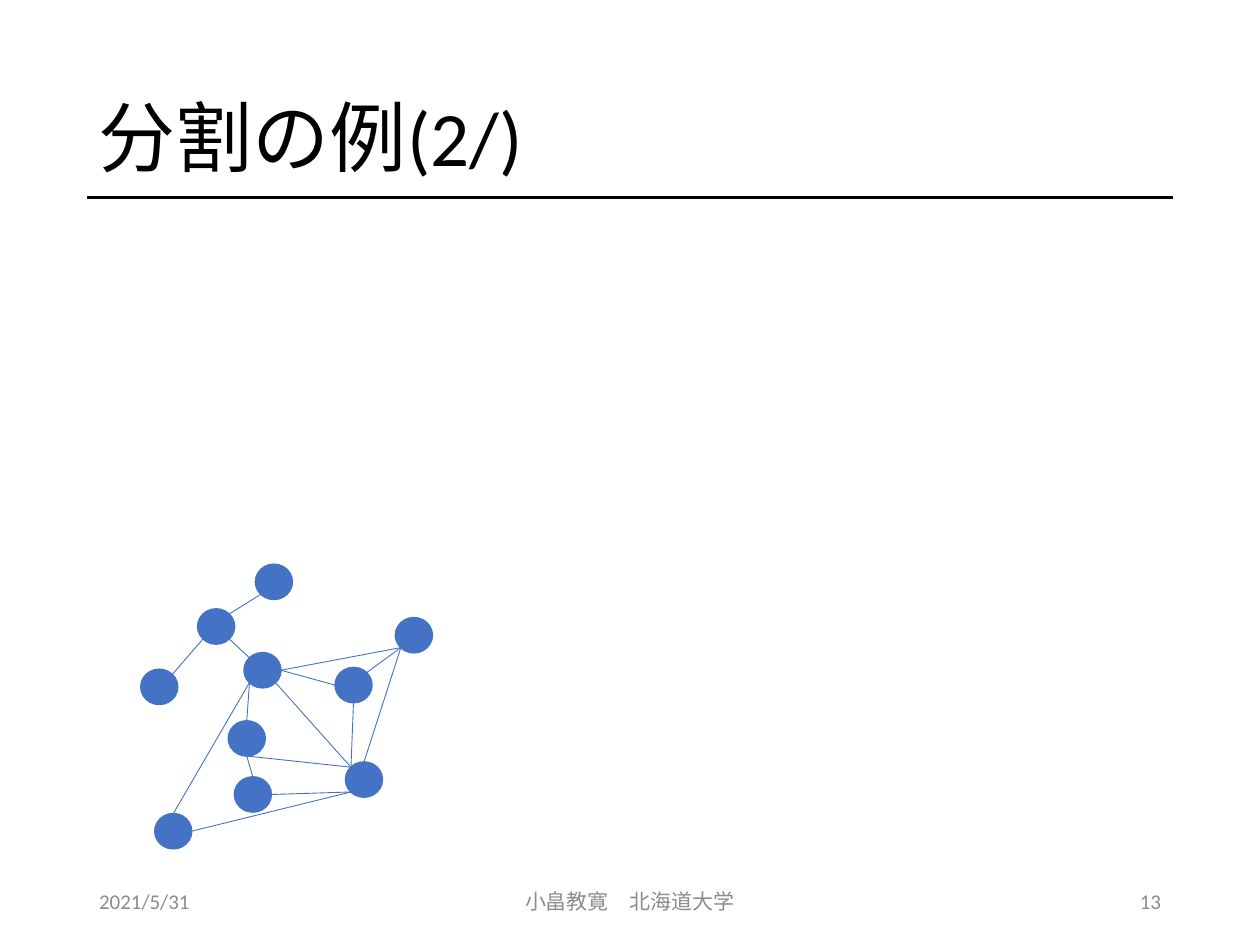
from dataclasses import dataclass
from math import cos, radians, sin

from lxml import etree
from pptx import Presentation
from pptx.dml.color import RGBColor
from pptx.enum.shapes import MSO_CONNECTOR, MSO_SHAPE
from pptx.enum.text import MSO_ANCHOR, PP_ALIGN
from pptx.oxml.ns import qn
from pptx.util import Pt

STRAIGHT = MSO_CONNECTOR.STRAIGHT
OVAL = MSO_SHAPE.OVAL
MIDDLE = MSO_ANCHOR.MIDDLE
LEFT, CENTER, RIGHT = PP_ALIGN.LEFT, PP_ALIGN.CENTER, PP_ALIGN.RIGHT


@dataclass(frozen=True)
class Theme:
    font: str = "Calibri"
    ink: RGBColor = RGBColor(0, 0, 0)
    muted: RGBColor = RGBColor(0x8C, 0x8C, 0x8C)
    accent: RGBColor = RGBColor(0x44, 0x72, 0xC4)
    title_size: int = 44
    footer_size: int = 12


THEME = Theme()
MARGIN, CONTENT_WIDTH = 49.5, 621
NODE_WIDTH, NODE_HEIGHT = 21, 20

# Left and top of each graph node, in points
NODES = {
    "branch": (113, 348),
    "upper leaf": (146, 322.5),
    "left leaf": (80.5, 382.5),
    "hub": (139.5, 373),
    "lower right": (197.5, 435.5),
    "inner right": (191.5, 381.5),
    "far right": (226, 353),
    "inner upper": (130.5, 412),
    "inner lower": (134, 444),
    "lower left": (88.5, 465),
}

# Direction of each rim point, clockwise from the right
RIM = {name: 45 * step for step, name in enumerate(
    ("E", "SE", "S", "SW", "W", "NW", "N", "NE"))}

# Start node and rim point, end node and rim point
EDGES = [
    ("branch", "NE", "upper leaf", "SW"),
    ("branch", "SW", "left leaf", "NE"),
    ("branch", "SE", "hub", "NW"),
    ("lower right", "NW", "hub", "SE"),
    ("lower right", "N", "far right", "SW"),
    ("lower right", "NW", "inner right", "S"),
    ("inner right", "NE", "far right", "SW"),
    ("inner right", "W", "hub", "E"),
    ("far right", "SW", "hub", "E"),
    ("inner upper", "N", "hub", "SW"),
    ("lower left", "N", "hub", "SW"),
    ("inner lower", "N", "inner upper", "S"),
    ("lower right", "NW", "inner upper", "S"),
    ("lower right", "SW", "inner lower", "E"),
    ("lower left", "E", "lower right", "SW"),
]


def apply_format(target, values):
    for attribute, value in values.items():
        setattr(target, attribute, value)


def add_label(shapes, text, box, size, color, align=LEFT, spacing=1.0):
    label = shapes.add_textbox(*map(Pt, box))
    frame = label.text_frame
    apply_format(frame, {"word_wrap": True, "vertical_anchor": MIDDLE})
    paragraph = frame.paragraphs[0]
    paragraph.text = text
    apply_format(paragraph, {"alignment": align, "line_spacing": spacing})
    apply_format(paragraph.font, {"name": THEME.font, "size": Pt(size)})
    paragraph.font.color.rgb = color


def add_line(shapes, start, end, color, width):
    line = shapes.add_connector(STRAIGHT, *map(Pt, (*start, *end)))
    line.line.color.rgb = color
    line.line.width = Pt(width)
    etree.SubElement(line._element.spPr, qn("a:effectLst"))


def add_node(shapes, left, top):
    node = shapes.add_shape(OVAL, *map(Pt, (left, top, NODE_WIDTH, NODE_HEIGHT)))
    node.shadow.inherit = False
    node.fill.solid()
    node.fill.fore_color.rgb = THEME.accent
    node.line.color.rgb = THEME.accent
    node.line.width = Pt(1)


def rim_point(name, side):
    left, top = NODES[name]
    angle = radians(RIM[side])
    return (left + NODE_WIDTH / 2 * (1 + cos(angle)),
            top + NODE_HEIGHT / 2 * (1 + sin(angle)))


def add_graph(slide):
    graph = slide.shapes.add_group_shape().shapes
    for left, top in NODES.values():
        add_node(graph, left, top)
    for start, start_side, end, end_side in EDGES:
        add_line(graph, rim_point(start, start_side), rim_point(end, end_side),
                 THEME.accent, 0.5)


def main():
    deck = Presentation()
    apply_format(deck, {"slide_width": Pt(720), "slide_height": Pt(540)})
    slide = deck.slides.add_slide(deck.slide_layouts[6])
    shapes = slide.shapes

    # Title and its rule
    add_line(shapes, (MARGIN, 113), (MARGIN + CONTENT_WIDTH, 113), THEME.ink, 2)
    add_label(shapes, "分割の例(2/)", (MARGIN, 28.75, CONTENT_WIDTH, 104.4),
              THEME.title_size, THEME.ink, spacing=0.9)

    # Footer
    for text, left, width, align in (
        ("2021/5/31", MARGIN, 162, LEFT),
        ("小畠教寛　北海道大学", 238.5, 243, CENTER),
        ("13", 508.5, 162, RIGHT),
    ):
        add_label(shapes, text, (left, 500.5, width, 28.75),
                  THEME.footer_size, THEME.muted, align)

    # Graph to be partitioned
    add_graph(slide)

    deck.save("out.pptx")


if __name__ == "__main__":
    main()
